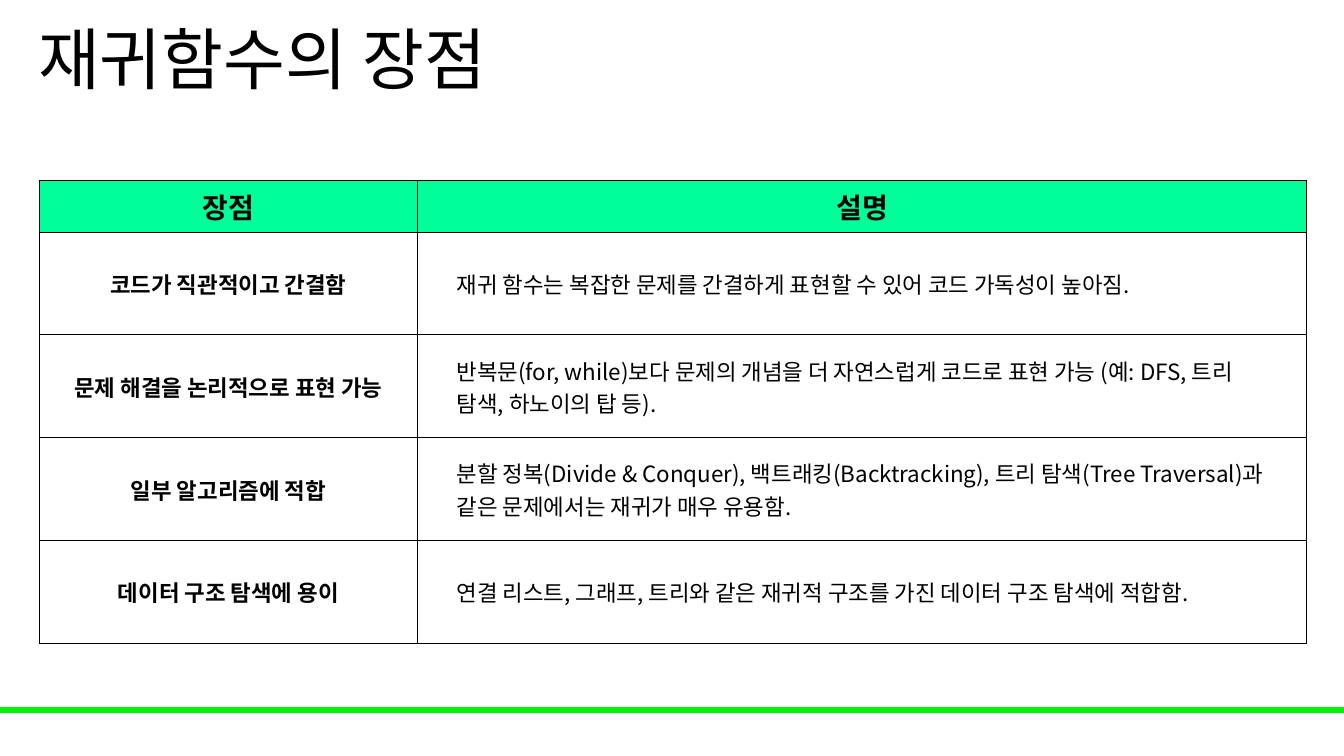
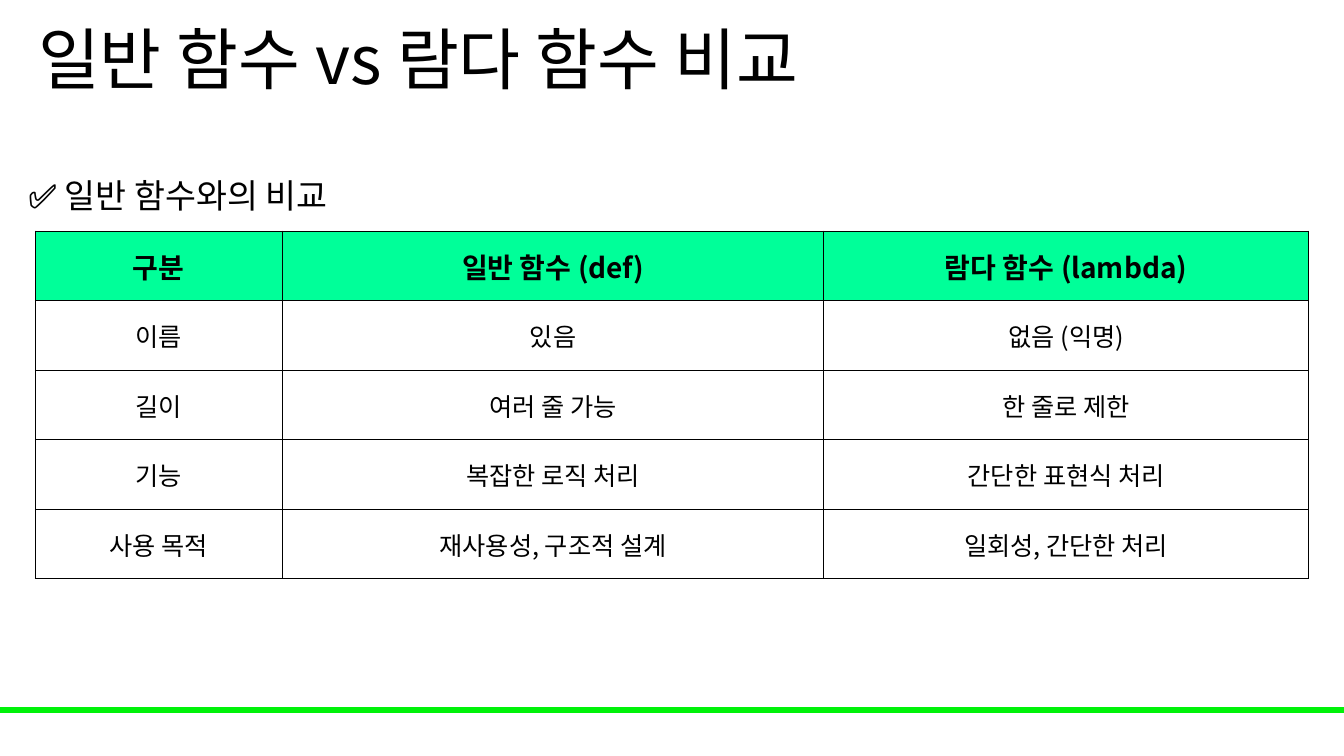
from lxml import etree
from pptx import Presentation
from pptx.dml.color import RGBColor
from pptx.enum.shapes import MSO_SHAPE
from pptx.enum.text import MSO_ANCHOR, PP_ALIGN
from pptx.oxml.ns import qn
from pptx.util import Inches, Pt

RECT = MSO_SHAPE.RECTANGLE
MIDDLE, TOP = MSO_ANCHOR.MIDDLE, MSO_ANCHOR.TOP
LEFT, CENTER = PP_ALIGN.LEFT, PP_ALIGN.CENTER

BLACK = RGBColor(0x00, 0x00, 0x00)
BAND_GREEN = RGBColor(0x00, 0xF2, 0x09)
HEADER_GREEN = RGBColor(0x00, 0xFF, 0x99)

FONT = "Noto Sans CJK KR"
SLIDE_W, SLIDE_H = 13.33, 7.5
HEADER_SIZE = 20
CELL_INSET = 0.01
BORDER_WIDTH = 0.5

ADVANTAGES = [
    ("장점", "설명"),
    ("코드가 직관적이고 간결함",
     "재귀 함수는 복잡한 문제를 간결하게 표현할 수 있어 코드 가독성이 높아짐."),
    ("문제 해결을 논리적으로 표현 가능",
     "반복문(for, while)보다 문제의 개념을 더 자연스럽게 코드로 표현 가능 "
     "(예: DFS, 트리 탐색, 하노이의 탑 등)."),
    ("일부 알고리즘에 적합",
     "분할 정복(Divide & Conquer), 백트래킹(Backtracking), "
     "트리 탐색(Tree Traversal)과 같은 문제에서는 재귀가 매우 유용함."),
    ("데이터 구조 탐색에 용이",
     "연결 리스트, 그래프, 트리와 같은 재귀적 구조를 가진 데이터 구조 탐색에 적합함."),
]

COMPARISON = [
    ("구분", "일반 함수 (def)", "람다 함수 (lambda)"),
    ("이름", "있음", "없음 (익명)"),
    ("길이", "여러 줄 가능", "한 줄로 제한"),
    ("기능", "복잡한 로직 처리", "간단한 표현식 처리"),
    ("사용 목적", "재사용성, 구조적 설계", "일회성, 간단한 처리"),
]


def write(tf, text, size, bold=False, align=LEFT):
    tf.text = text
    p = tf.paragraphs[0]
    p.alignment = align
    for r in p.runs:
        r.font.size = Pt(size)
        r.font.bold = bold
        r.font.name = FONT
        r.font.color.rgb = BLACK
        ea = etree.SubElement(r.font._element, qn("a:ea"))
        ea.set("typeface", FONT)
    return p


def add_text(slide, box, text, size, anchor=TOP):
    tf = slide.shapes.add_textbox(*map(Inches, box)).text_frame
    tf.word_wrap = True
    tf.vertical_anchor = anchor
    return write(tf, text, size)


def add_border(cell):
    tcPr = cell._tc.get_or_add_tcPr()
    for side in ("a:lnL", "a:lnR", "a:lnT", "a:lnB"):
        ln = etree.SubElement(tcPr, qn(side), w=str(Pt(BORDER_WIDTH)))
        fill = etree.SubElement(ln, qn("a:solidFill"))
        etree.SubElement(fill, qn("a:srgbClr"), val=str(BLACK))


def add_grid(slide, left, top, cols, row_heights, rows, size,
             bold_first=False, text_inset=None):
    """Table with a green header; text_inset left-aligns the last column."""
    frame = slide.shapes.add_table(
        len(rows), len(cols), Inches(left), Inches(top),
        Inches(sum(cols)), Inches(sum(row_heights)))
    table = frame.table
    table.first_row = table.horz_banding = False
    for column, width in zip(table.columns, cols):
        column.width = Inches(width)
    for i, (row, height) in enumerate(zip(rows, row_heights)):
        table.rows[i].height = Inches(height)
        header = i == 0
        for j, text in enumerate(row):
            cell = table.cell(i, j)
            prose = text_inset and not header and j == len(row) - 1
            inset = text_inset if prose else CELL_INSET
            cell.margin_left = cell.margin_right = Inches(inset)
            cell.margin_top, cell.margin_bottom = Inches(CELL_INSET), 0
            cell.vertical_anchor = MIDDLE
            add_border(cell)
            if header:
                cell.fill.solid()
                cell.fill.fore_color.rgb = HEADER_GREEN
            else:
                cell.fill.background()
            write(cell.text_frame, text, HEADER_SIZE if header else size,
                  header or (bold_first and j == 0),
                  LEFT if prose else CENTER)


def add_base_slide(prs, title):
    """Blank slide with the shared bottom band and title."""
    slide = prs.slides.add_slide(prs.slide_layouts[6])
    band = slide.shapes.add_shape(
        RECT, 0, Inches(7.02), Inches(SLIDE_W), Inches(0.05))
    band.shadow.inherit = False
    band.fill.solid()
    band.fill.fore_color.rgb = BAND_GREEN
    band.line.color.rgb = BAND_GREEN
    band.line.width = Pt(1)
    p = add_text(slide, (0.28, 0, 11.5, 1.25), title, 48, MIDDLE)
    p.line_spacing = 0.9
    return slide


def add_advantages_slide(prs):
    slide = add_base_slide(prs, "재귀함수의 장점")
    add_grid(slide, 0.39, 1.79, (3.75, 8.82), [0.51] + [1.02] * 4,
             ADVANTAGES, 16, bold_first=True, text_inset=0.39)


def add_comparison_slide(prs):
    slide = add_base_slide(prs, "일반 함수 vs 람다 함수 비교")
    add_text(slide, (0.18, 1.69, 6.69, 0.5), "✅ 일반 함수와의 비교", 24)
    add_grid(slide, 0.35, 2.29, (2.45, 5.37, 4.81), [0.69] * 5,
             COMPARISON, 18)


def main():
    prs = Presentation()
    prs.slide_width, prs.slide_height = Inches(SLIDE_W), Inches(SLIDE_H)
    add_advantages_slide(prs)
    add_comparison_slide(prs)
    prs.save("out.pptx")


if __name__ == "__main__":
    main()
